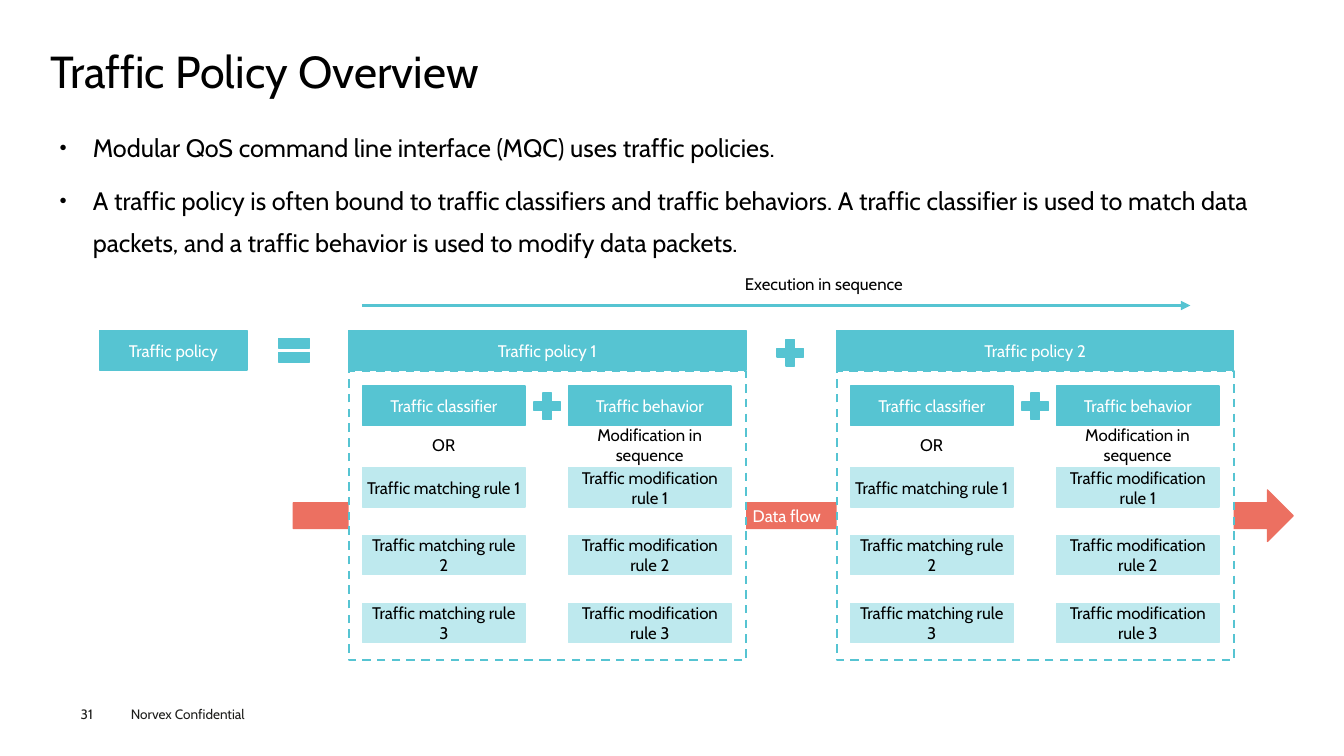
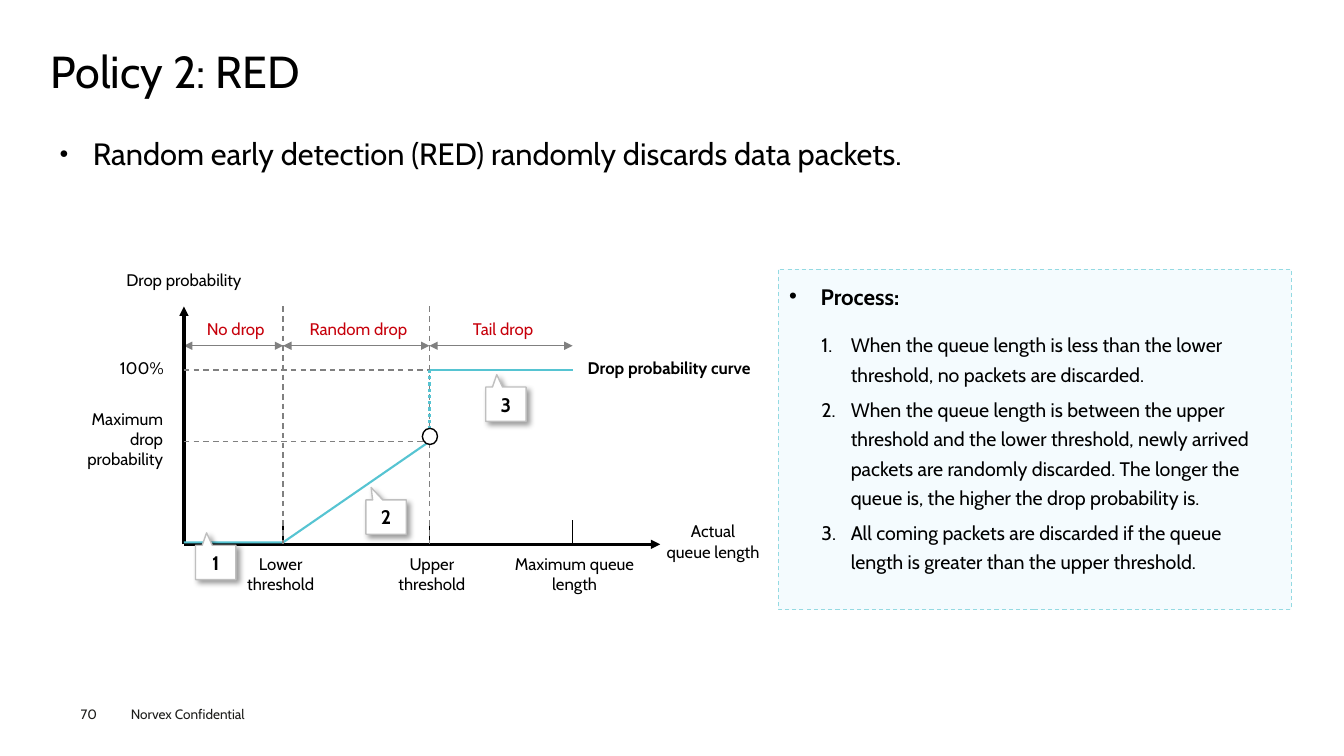
from lxml.etree import SubElement
from pptx import Presentation
from pptx.dml.color import RGBColor
from pptx.enum.dml import MSO_LINE
from pptx.enum.shapes import MSO_CONNECTOR, MSO_SHAPE
from pptx.enum.text import MSO_ANCHOR, PP_ALIGN
from pptx.oxml.ns import qn
from pptx.util import Pt

FONT = "Cabin"
BLACK = RGBColor(0x00, 0x00, 0x00)
WHITE = RGBColor(0xFF, 0xFF, 0xFF)
FOOTER_INK = RGBColor(0x1D, 0x1D, 0x1B)
TEAL = RGBColor(0x56, 0xC4, 0xD2)
LIGHT_TEAL = RGBColor(0xBE, 0xE9, 0xEE)
PANEL_FILL = RGBColor(0xF4, 0xFB, 0xFE)
PANEL_LINE = RGBColor(0x94, 0xDA, 0xE2)
CORAL = RGBColor(0xEC, 0x70, 0x61)
GRAY = RGBColor(0x80, 0x80, 0x80)
CALLOUT_LINE = RGBColor(0xBF, 0xBF, 0xBF)
RED = RGBColor(0xC7, 0x00, 0x0B)

BOX_HEIGHT = 28.1
RULE_WIDTH = 115.9
POLICY_WIDTH = 283.7


def add_bullet(paragraph, bullet, indent, percent):
    properties = paragraph._p.get_or_add_pPr()
    properties.set("marL", str(Pt(indent)))
    properties.set("indent", str(-Pt(indent)))
    if bullet == "1.":
        SubElement(properties, qn("a:buFont"), typeface="+mj-lt")
        SubElement(properties, qn("a:buAutoNum"), type="arabicPeriod")
    else:
        SubElement(properties, qn("a:buSzPct"), val=str(percent * 1000))
        SubElement(properties, qn("a:buFont"), typeface="Arial")
        SubElement(properties, qn("a:buChar"), char=bullet)


def write_text(shape, text, size=12, color=BLACK, bold=False, align=PP_ALIGN.CENTER,
               anchor=MSO_ANCHOR.MIDDLE, insets=(0, 0), spacing=None, before=0, after=0,
               bullet=None, indent=0, percent=100):
    frame = shape.text_frame
    frame.word_wrap = True
    frame.vertical_anchor = anchor
    frame.margin_left = frame.margin_right = Pt(insets[0])
    frame.margin_top = frame.margin_bottom = Pt(insets[1])
    for index, line in enumerate(text.split("\n")):
        paragraph = frame.add_paragraph() if index else frame.paragraphs[0]
        paragraph.alignment = align
        if bullet:
            add_bullet(paragraph, bullet, indent, percent)
        if spacing:
            paragraph.line_spacing = spacing
        if index and before:
            paragraph.space_before = Pt(before)
        if after:
            paragraph.space_after = Pt(after)
        run = paragraph.add_run()
        run.text = line
        run.font.name = FONT
        run.font.size = Pt(size)
        run.font.bold = bold
        run.font.color.rgb = color


def add_label(slide, text, left, top, width, height, **text_format):
    shape = slide.shapes.add_textbox(Pt(left), Pt(top), Pt(width), Pt(height))
    write_text(shape, text, **text_format)


def style_line(line, color, width, dash=None):
    line.color.rgb = color
    line.width = Pt(width)
    if dash:
        line.dash_style = dash


def add_box(slide, left, top, width, height, fill, outline=None, text=None, kind=MSO_SHAPE.RECTANGLE,
            line_width=1, dash=None, **text_format):
    shape = slide.shapes.add_shape(kind, Pt(left), Pt(top), Pt(width), Pt(height))
    shape.shadow.inherit = False
    shape.fill.solid()
    shape.fill.fore_color.rgb = fill
    style_line(shape.line, outline or fill, line_width, dash)
    if text:
        write_text(shape, text, **{"insets": (2.88, 3.6), **text_format})
    return shape


def add_line(slide, start, end, color, width=1, dash=None, head=False, tail=False):
    connector = slide.shapes.add_connector(MSO_CONNECTOR.STRAIGHT, *map(Pt, start + end))
    style_line(connector.line, color, width, dash)
    properties = connector._element.spPr
    outline = properties.find(qn("a:ln"))
    for wanted, tag in ((head, "a:headEnd"), (tail, "a:tailEnd")):
        if wanted:
            SubElement(outline, qn(tag), type="triangle")
    SubElement(properties, qn("a:effectLst"))


def add_curve(slide, points, color, width):
    corners = [(Pt(x), Pt(y)) for x, y in points]
    builder = slide.shapes.build_freeform(*corners[0], scale=1.0)
    builder.add_line_segments(corners[1:], close=False)
    shape = builder.convert_to_shape()
    shape.shadow.inherit = False
    shape.fill.background()
    style_line(shape.line, color, width)


def add_callout(slide, number, left, top, pointer):
    shape = add_box(slide, left, top, 28.8, 24.5, WHITE, CALLOUT_LINE, number,
                    kind=MSO_SHAPE.RECTANGULAR_CALLOUT, size=14, bold=True, insets=(0, 0))
    shape.adjustments[0] = pointer
    shape.adjustments[1] = -0.863
    effects = shape._element.spPr.find(qn("a:effectLst"))
    shadow = SubElement(effects, qn("a:outerShdw"), blurRad=str(Pt(4)), dist=str(Pt(3)),
                        dir="2700000", algn="tl", rotWithShape="0")
    shade = SubElement(shadow, qn("a:srgbClr"), val=str(BLACK))
    SubElement(shade, qn("a:alpha"), val="40000")


def add_base_slide(presentation, title, page):
    slide = presentation.slides.add_slide(presentation.slide_layouts[6])
    footer = {"size": 9.7, "color": FOOTER_INK, "align": PP_ALIGN.LEFT, "anchor": MSO_ANCHOR.TOP}
    add_label(slide, "Norvex Confidential", 86.4, 500.4, 115.2, 19.4, insets=(7.2, 3.6), **footer)
    add_label(slide, page, 57.6, 504, 39.6, 11.5, **footer)
    add_label(slide, title, 36, 35.3, 889.2, 38.9, size=32, spacing=0.9,
              align=PP_ALIGN.LEFT, anchor=MSO_ANCHOR.TOP)
    return slide


def add_body(slide, text, height, size):
    add_label(slide, text, 36, 82.8, 889.2, height, size=size, align=PP_ALIGN.LEFT,
              anchor=MSO_ANCHOR.TOP, insets=(6.5, 2.9), spacing=1.4, before=7.9,
              bullet="●", indent=23.8, percent=50)


def add_plus(slide, left, top):
    add_box(slide, left, top, 25.9, 25.9, TEAL, kind=MSO_SHAPE.MATH_PLUS)


def add_policy(slide, left, name):
    add_box(slide, left, 265, POLICY_WIDTH, 206.6, WHITE, TEAL, line_width=1.5, dash=MSO_LINE.DASH)
    add_box(slide, left, 236.2, POLICY_WIDTH, BOX_HEIGHT, TEAL, text=name, color=WHITE)
    columns = ((10, "Traffic classifier", "OR", "Traffic matching rule"),
               (157.2, "Traffic behavior", "Modification in sequence", "Traffic modification rule"))
    for offset, heading, relation, rule in columns:
        column_left = left + offset
        add_box(slide, column_left, 275.8, RULE_WIDTH, BOX_HEIGHT, TEAL, text=heading, color=WHITE)
        add_label(slide, relation, column_left + 11, 303.4, 93.6, BOX_HEIGHT)
        for index in range(3):
            add_box(slide, column_left, 334.1 + 48.4 * index, RULE_WIDTH, BOX_HEIGHT,
                    LIGHT_TEAL, text=f"{rule} {index + 1}")
    add_plus(slide, left + 128.9, 277.2)


def build_policy_slide(presentation):
    slide = add_base_slide(presentation, "Traffic Policy Overview", "31")
    add_body(slide, "Modular QoS command line interface (MQC) uses traffic policies.\n"
             "A traffic policy is often bound to traffic classifiers and traffic behaviors. "
             "A traffic classifier is used to match data packets, and a traffic behavior "
             "is used to modify data packets.", 110, 18)
    add_box(slide, 209.5, 350, 714.2, 36.7, CORAL, text="Data flow",
            kind=MSO_SHAPE.RIGHT_ARROW, color=WHITE)
    add_box(slide, 71.3, 236.2, 105.1, BOX_HEIGHT, TEAL, text="Traffic policy", color=WHITE)
    add_box(slide, 195.1, 236.2, 30.2, BOX_HEIGHT, TEAL, kind=MSO_SHAPE.MATH_EQUAL)
    for index in range(2):
        add_policy(slide, 249.1 + 348.5 * index, f"Traffic policy {index + 1}")
    add_plus(slide, 551.5, 239)
    add_line(slide, (258.5, 218.2), (850.3, 218.2), TEAL, 2.25, tail=True)
    add_label(slide, "Execution in sequence", 529.2, 192.2, 127.4, 21.6,
              align=PP_ALIGN.LEFT, insets=(2.88, 3.6))


def add_drop_chart(slide):
    axis, lower, upper, maximum = 131.4, 202.3, 306.7, 409
    top, full, partial, base = 218.9, 264.2, 315.4, 388.8
    zones = ((axis, lower, "No drop"), (lower, upper, "Random drop"), (upper, maximum, "Tail drop"))
    for start, end, name in zones:
        add_line(slide, (start, 247), (end, 247), GRAY, head=True, tail=True)
        add_label(slide, name, start, 221.8, end - start + 3, 25.9, color=RED)
    add_line(slide, (axis, base), (axis, top), BLACK, 2.25, tail=True)
    add_line(slide, (axis, base), (471.6, base), BLACK, 2.25, tail=True)
    for x in (lower, upper, maximum):
        add_line(slide, (x, 371.5), (x, base), BLACK)
    for y, end in ((partial, upper), (full, maximum)):
        add_line(slide, (axis, y), (end, y), GRAY, dash=MSO_LINE.DASH)
    add_curve(slide, ((axis, 387.4), (lower, 387.4), (upper, partial)), TEAL, 1.5)
    add_line(slide, (upper, full), (maximum, full), TEAL, 1.5)
    for x in (lower, upper):
        add_line(slide, (x, top), (x, base), GRAY, dash=MSO_LINE.DASH)
    add_line(slide, (upper, full), (upper, partial), TEAL, 2.25, MSO_LINE.ROUND_DOT)
    add_box(slide, 301.7, 306, 10.8, 11.5, WHITE, BLACK, kind=MSO_SHAPE.FLOWCHART_CONNECTOR)

    add_label(slide, "Drop probability", 69.1, 187.2, 124.6, 25.9)
    add_label(slide, "Actual\nqueue length", 463.7, 367.2, 91.4, 38.9)
    add_label(slide, "100%", 66, 249.8, 51, 25.9, align=PP_ALIGN.RIGHT)
    add_label(slide, "Maximum\ndrop probability", 46.5, 295.2, 70, 36.7, align=PP_ALIGN.RIGHT)
    add_label(slide, "Drop probability curve", 400.3, 243.4, 155.5, 38.9, bold=True)
    for center, width, name in ((200.5, 76, "Lower threshold"), (308.5, 76, "Upper threshold"),
                                (410.4, 90, "Maximum queue length")):
        add_label(slide, name, center - width / 2, 396.7, width, 25.9)
    for number, left, callout_top, pointer in (("1", 139.7, 389.5, -0.226), ("2", 261.4, 357.1, -0.371),
                                               ("3", 347, 276.5, -0.226)):
        add_callout(slide, number, left, callout_top, pointer)


def add_process_panel(slide):
    add_box(slide, 555.8, 192.2, 366.5, 243.4, PANEL_FILL, PANEL_LINE,
            line_width=0.75, dash=MSO_LINE.DASH)
    shared = {"align": PP_ALIGN.LEFT, "insets": (7.2, 3.6), "spacing": 1.25}
    add_label(slide, "Process:", 556.6, 193.7, 148.3, 31, size=16, bold=True,
              bullet="•", indent=22.5, **shared)
    add_label(slide, "When the queue length is less than the lower threshold, no packets are discarded.\n"
              "When the queue length is between the upper threshold and the lower threshold, "
              "newly arrived packets are randomly discarded. The longer the queue is, "
              "the higher the drop probability is.\n"
              "All coming packets are discarded if the queue length is greater than the upper threshold.",
              579.6, 218.9, 334.8, 205.9, size=14, before=2, after=2, bullet="1.", indent=21, **shared)


def build_red_slide(presentation):
    slide = add_base_slide(presentation, "Policy 2: RED", "70")
    add_body(slide, "Random early detection (RED) randomly discards data packets.", 50, 22)
    add_process_panel(slide)
    add_drop_chart(slide)


def main():
    presentation = Presentation()
    presentation.slide_width = Pt(960)
    presentation.slide_height = Pt(540)
    build_policy_slide(presentation)
    build_red_slide(presentation)
    presentation.save("out.pptx")


if __name__ == "__main__":
    main()
